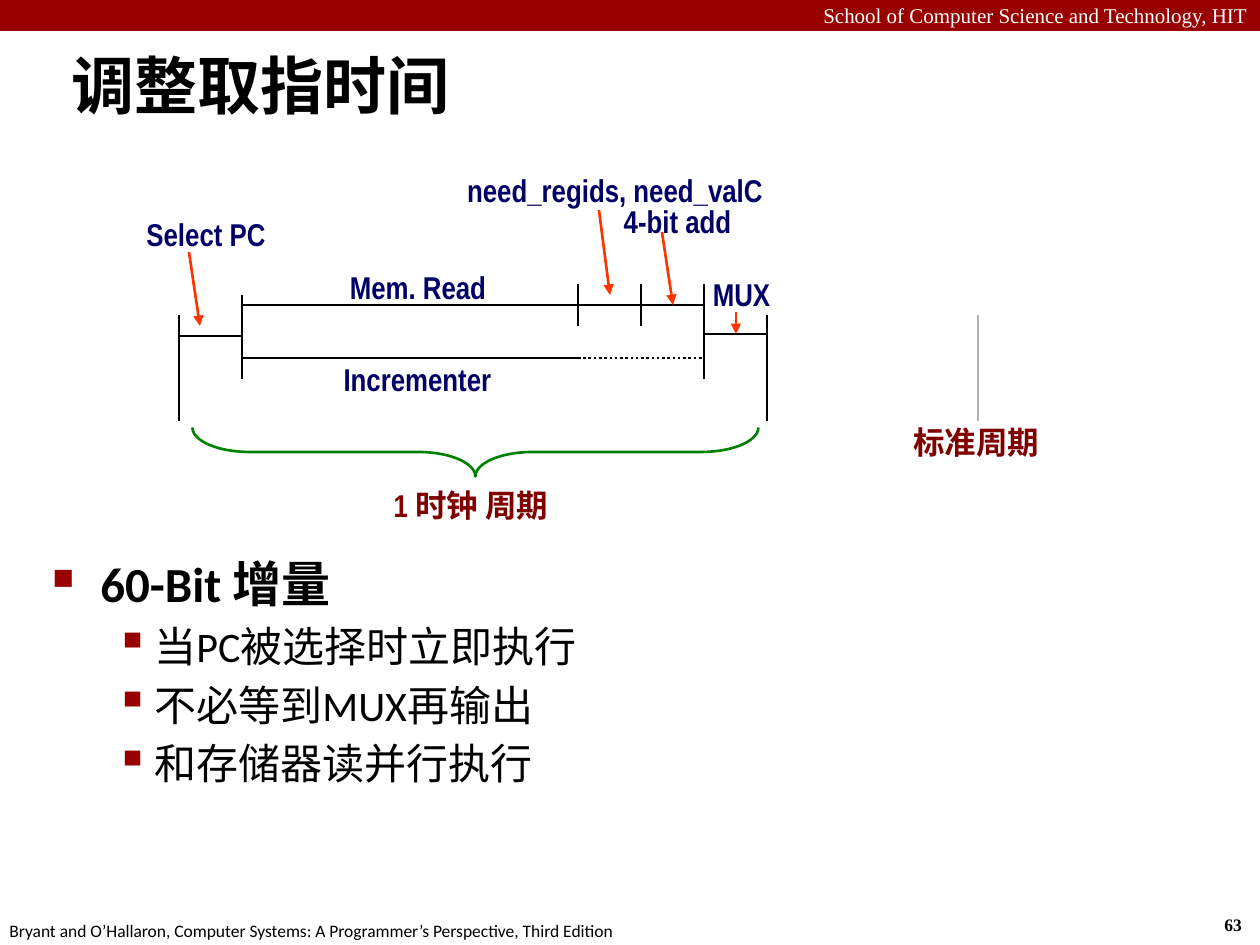
import pptx
import pptx.dml.color
import pptx.enum.dml
import pptx.enum.shapes
import pptx.enum.text
import pptx.oxml
import pptx.oxml.ns
import pptx.util

PX = 914400 // 126
ALIGN = pptx.enum.text.PP_ALIGN
ANCHOR = pptx.enum.text.MSO_ANCHOR

BLACK, NAVY, MAROON, RED = "000000", "000066", "800000", "990000"
ORANGE, GREEN, GRAY = "FF3300", "008000", "B2B2B2"

HEADER = "School of Computer Science and Technology, HIT"
FOOTER = ("Bryant and O’Hallaron, Computer Systems: "
          "A Programmer’s Perspective, Third Edition")
TITLE = "调整取指时间"

# text, size, bold, bullet, bullet size %, left margin, hanging indent
BODY = [("60-Bit 增量", 28, True, "■", 60, 48, 48)] + [
    (text, 24, False, "▪", 110, 102, 39)
    for text in ("当PC被选择时立即执行", "不必等到MUX再输出", "和存储器读并行执行")
]

# Stage boundaries along the time axis
START, SELECTED, READ, NEEDED, ADDED, END = 179, 242, 578, 641, 704, 767
STANDARD = 978
READ_Y, MUX_Y, SELECT_Y, INCREMENT_Y = 305, 334, 336, 358

# x, top, bottom, colour
BOUNDARIES = [
    (START, 315, 421, BLACK), (SELECTED, 295, 379, BLACK),
    (READ, 284, 326, BLACK), (NEEDED, 284, 326, BLACK),
    (ADDED, 284, 379, BLACK), (END, 315, 421, BLACK),
    (STANDARD, 315, 421, GRAY),
]
# left, right, y, dotted
STAGES = [
    (START, SELECTED, SELECT_Y, False), (SELECTED, READ, READ_Y, False),
    (READ, NEEDED, READ_Y, False), (NEEDED, ADDED, READ_Y, False),
    (ADDED, END, MUX_Y, False), (SELECTED, READ, INCREMENT_Y, False),
    (READ, ADDED, INCREMENT_Y, True),
]
ARROWS = [
    (189, 252, 200, 326), (599, 210, 610, 295),
    (662, 232, 673, READ_Y), (736, 312, 736, MUX_Y),
]
# text, left, top, width, colour
LABELS = [
    ("Select PC", 139, 213, 134, NAVY),
    ("Mem. Read", 343, 266, 150, NAVY),
    ("Incrementer", 336, 358, 163, NAVY),
    ("need_regids, need_valC", 459, 169, 312, NAVY),
    ("4-bit add", 617, 200, 121, NAVY),
    ("MUX", 706, 273, 71, NAVY),
    ("1 时钟 周期", 383, 484, 176, MAROON),
    ("标准周期", 906, 421, 141, MAROON),
]


def rgb(color):
    return pptx.dml.color.RGBColor.from_string(color)


def style(paragraph, text, size, name, color=BLACK, bold=False, align=ALIGN.LEFT):
    paragraph.text = text
    paragraph.alignment = align
    font = paragraph.font
    font.size, font.name, font.bold = pptx.util.Pt(size), name, bold
    font.color.rgb = rgb(color)


def add_frame(slide, box, wrap=False):
    frame = slide.shapes.add_textbox(*(value * PX for value in box)).text_frame
    frame.word_wrap = wrap
    return frame


def add_line(slide, x1, y1, x2, y2, color=BLACK, dotted=False, arrow=False):
    connector = slide.shapes.add_connector(
        pptx.enum.shapes.MSO_CONNECTOR.STRAIGHT, x1 * PX, y1 * PX, x2 * PX, y2 * PX)
    connector.line.color.rgb = rgb(color)
    connector.line.width = pptx.util.Pt(1.5)
    if dotted:
        connector.line.dash_style = pptx.enum.dml.MSO_LINE.ROUND_DOT
    if arrow:
        add_xml(connector.line._get_or_add_ln(), "tailEnd", type="triangle")
    add_xml(connector._element.spPr, "effectLst")


def add_xml(parent, tag, **attributes):
    element = pptx.oxml.parse_xml(f'<a:{tag} {pptx.oxml.ns.nsdecls("a")}/>')
    for name, value in attributes.items():
        element.set(name, str(value))
    parent.append(element)
    return element


def add_bullet(paragraph, character, percent, margin, hanging):
    properties = paragraph._p.get_or_add_pPr()
    properties.set("marL", str(margin * PX))
    properties.set("indent", str(-hanging * PX))
    # Bullet elements must precede the default run properties
    defaults = properties.find(pptx.oxml.ns.qn("a:defRPr"))
    properties.remove(defaults)
    add_xml(add_xml(properties, "buClr"), "srgbClr", val=RED)
    add_xml(properties, "buSzPct", val=percent * 1000)
    add_xml(properties, "buChar", char=character)
    properties.append(defaults)


def add_page_frame(slide):
    band = slide.shapes.add_shape(
        pptx.enum.shapes.MSO_SHAPE.RECTANGLE, 0, 0, 1260 * PX, 31 * PX)
    band.shadow.inherit = False
    band.fill.solid()
    band.fill.fore_color.rgb = rgb(RED)
    band.line.fill.background()
    header = add_frame(slide, (0, -4, 1260, 38), wrap=True)
    style(header.paragraphs[0], HEADER, 12, "Times New Roman", "FFFFFF",
          align=ALIGN.RIGHT)
    number = add_frame(slide, (1212, 908, 47, 34))
    style(number.paragraphs[0], "63", 10, "Times New Roman", bold=True)
    footer = add_frame(slide, (-3, 914, 640, 34))
    style(footer.paragraphs[0], FOOTER, 10, "Calibri")


def add_text(slide):
    title = add_frame(slide, (59, 31, 1201, 107), wrap=True)
    title.vertical_anchor = ANCHOR.MIDDLE
    style(title.paragraphs[0], TITLE, 36, "Calibri", bold=True)
    body = add_frame(slide, (40, 547, 1144, 341), wrap=True)
    for index, (text, size, bold, *bullet) in enumerate(BODY):
        paragraph = body.add_paragraph() if index else body.paragraphs[0]
        style(paragraph, text, size, "Calibri", bold=bold)
        paragraph.space_before = pptx.util.Pt(size * 0.2)
        add_bullet(paragraph, *bullet)


def add_timeline(slide):
    for x, top, bottom, color in BOUNDARIES:
        add_line(slide, x, top, x, bottom, color)
    for left, right, y, dotted in STAGES:
        add_line(slide, left, y, right, y, dotted=dotted)
    for ends in ARROWS:
        add_line(slide, *ends, ORANGE, arrow=True)
    brace = slide.shapes.add_shape(
        pptx.enum.shapes.MSO_SHAPE.LEFT_BRACE, 451 * PX, 169 * PX, 49 * PX, 566 * PX)
    brace.rotation = 270
    brace.adjustments[0] = 1.17
    brace.shadow.inherit = False
    brace.fill.background()
    brace.line.color.rgb = rgb(GREEN)
    brace.line.width = pptx.util.Pt(1.5)
    for text, left, top, width, color in LABELS:
        frame = add_frame(slide, (left, top, width, 47))
        frame.margin_left = frame.margin_right = 6 * PX
        style(frame.paragraphs[0], text, 18, "Arial Narrow", color, True, ALIGN.CENTER)
        frame.paragraphs[0].line_spacing = 0.9


def main():
    presentation = pptx.Presentation()
    presentation.slide_width = pptx.util.Inches(10)
    presentation.slide_height = pptx.util.Inches(7.5)
    slide = presentation.slides.add_slide(presentation.slide_layouts[6])
    add_page_frame(slide)
    add_text(slide)
    add_timeline(slide)
    presentation.save("out.pptx")


if __name__ == "__main__":
    main()
